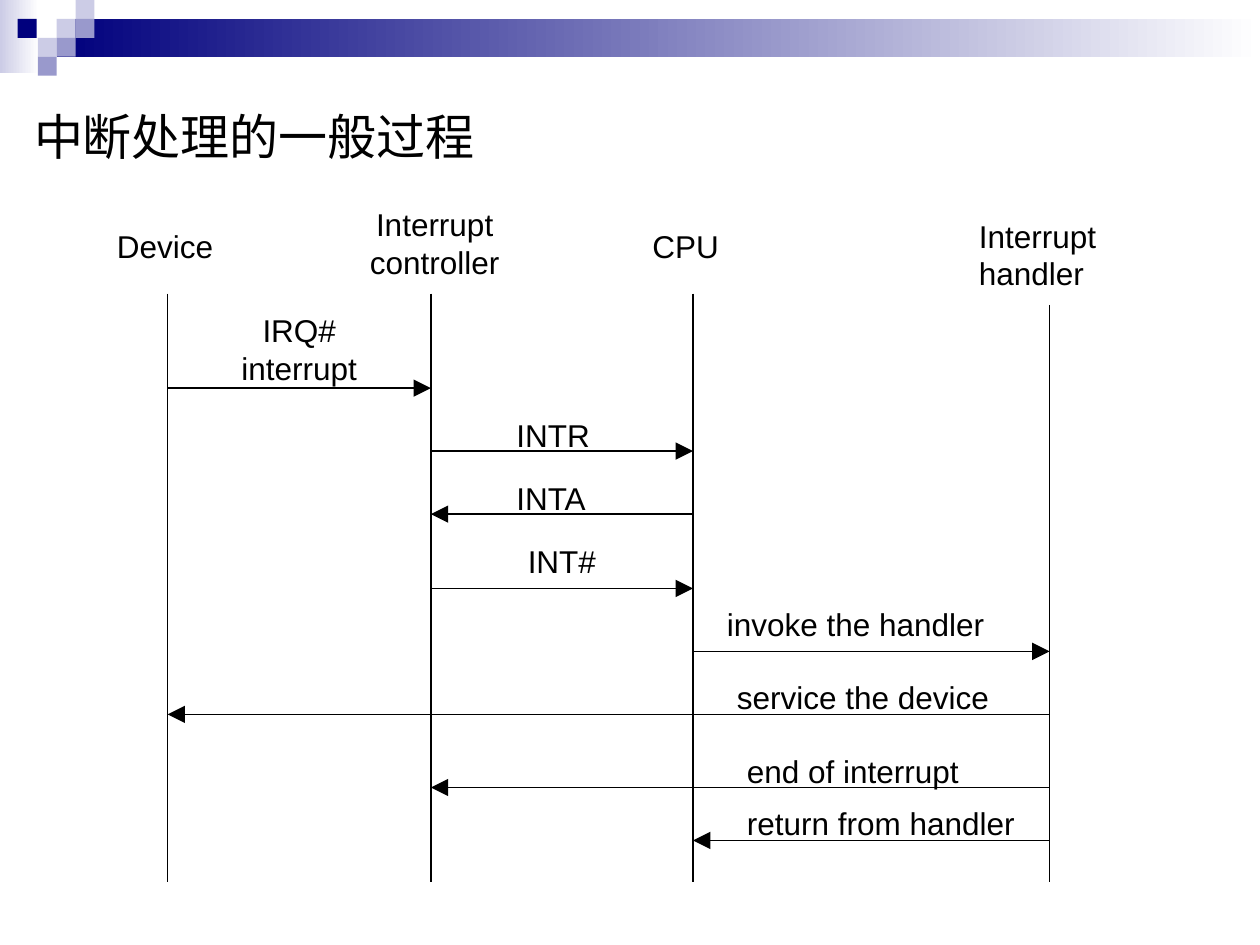
from dataclasses import dataclass

import pptx
import pptx.dml.color
import pptx.enum.shapes
import pptx.enum.text
import pptx.oxml
import pptx.oxml.ns
import pptx.util

Inches = pptx.util.Inches
Pt = pptx.util.Pt
Align = pptx.enum.text.PP_ALIGN
INK, NAVY, MID, PALE, WHITE = "000000", "00007D", "9999CC", "CCCCE6", "FFFFFF"
CELL = 0.15


@dataclass
class Label:
    text: str
    left: float
    top: float
    width: float
    height: float = 0.4
    align: Align = Align.LEFT


@dataclass
class Actor:
    x: float
    top: float
    label: Label


@dataclass
class Message:
    source: int
    target: int
    y: float
    label: Label


ACTORS = [
    Actor(1.33, 2.33, Label("Device", 0.83, 1.75, 1.08)),
    Actor(3.42, 2.33, Label("Interrupt controller", 2.75, 1.58, 1.4, 0.7,
                            Align.CENTER)),
    Actor(5.5, 2.33, Label("CPU", 5.08, 1.75, 1.42)),
    Actor(8.33, 2.42, Label("Interrupt handler", 7.67, 1.67, 1.42, 0.7)),
]
DEVICE, CONTROL, CPU, HANDLER = range(4)
FOOT = 7

MESSAGES = [
    Message(DEVICE, CONTROL, 3.08,
            Label("IRQ# interrupt", 1.5, 2.42, 1.75, 0.7, Align.CENTER)),
    Message(CONTROL, CPU, 3.58, Label("INTR", 4, 3.25, 1.08)),
    Message(CPU, CONTROL, 4.08, Label("INTA", 4, 3.75, 1.08)),
    Message(CONTROL, CPU, 4.67, Label("INT#", 4.09, 4.25, 0.85)),
    Message(CPU, HANDLER, 5.17,
            Label("invoke the handler", 5.67, 4.75, 2.4)),
    Message(HANDLER, DEVICE, 5.67,
            Label("service the device", 5.75, 5.33, 2.4)),
    Message(HANDLER, CONTROL, 6.25,
            Label("end of interrupt", 5.83, 5.92, 2)),
    Message(HANDLER, CPU, 6.67,
            Label("return from handler", 5.83, 6.33, 2.48)),
]

# Left, top and colour of each square in the corner
SQUARES = [
    (0.45, 0.15, PALE), (0.6, 0, PALE), (0.6, 0.15, MID), (0.3, 0.3, PALE),
    (0.14, 0.15, NAVY), (0.45, 0.3, MID), (0.3, 0.45, MID),
]


def rgb(code: str) -> pptx.dml.color.RGBColor:
    return pptx.dml.color.RGBColor.from_string(code)


def add_rect(slide, left: float, top: float, width: float, height: float,
             color: str, fade: bool = False) -> None:
    """Draw a bare rectangle, fading to white on the right if asked."""
    rect = slide.shapes.add_shape(
        pptx.enum.shapes.MSO_SHAPE.RECTANGLE,
        Inches(left), Inches(top), Inches(width), Inches(height))
    rect.shadow.inherit = False
    rect.line.fill.background()
    if fade:
        rect.fill.gradient()
        rect.fill.gradient_angle = 0
        for stop, code in zip(rect.fill.gradient_stops, (color, WHITE)):
            stop.color.rgb = rgb(code)
    else:
        rect.fill.solid()
        rect.fill.fore_color.rgb = rgb(color)


def add_run(para, text: str, size: float) -> None:
    run = para.add_run()
    run.text = text
    run.font.size = Pt(size)
    run.font.name = "Arial"
    run.font.color.rgb = rgb(INK)


def add_label(slide, label: Label) -> None:
    box = slide.shapes.add_textbox(
        Inches(label.left), Inches(label.top),
        Inches(label.width), Inches(label.height))
    box.text_frame.word_wrap = True
    para = box.text_frame.paragraphs[0]
    para.alignment = label.align
    add_run(para, label.text, 18)


def add_line(slide, x1: float, y1: float, x2: float, y2: float,
             arrow: bool = False) -> None:
    line = slide.shapes.add_connector(
        pptx.enum.shapes.MSO_CONNECTOR.STRAIGHT,
        Inches(x1), Inches(y1), Inches(x2), Inches(y2))
    line.line.color.rgb = rgb(INK)
    line.line.width = Pt(0.75)
    names = pptx.oxml.ns.nsdecls("a")
    if arrow:
        line.line._get_or_add_ln().append(pptx.oxml.parse_xml(
            f'<a:tailEnd {names} type="triangle" w="lg" len="lg"/>'))
    line._element.spPr.append(pptx.oxml.parse_xml(f"<a:effectLst {names}/>"))


def set_title(slide, text: str) -> None:
    title = slide.shapes.title
    title.left, title.top = Inches(0.17), Inches(0.33)
    title.width, title.height = Inches(9.58), Inches(1.5)
    title.text_frame.vertical_anchor = pptx.enum.text.MSO_ANCHOR.MIDDLE
    para = title.text_frame.paragraphs[0]
    para.alignment = Align.LEFT
    add_run(para, text, 28)


def main() -> None:
    deck = pptx.Presentation()
    deck.slide_width, deck.slide_height = Inches(10), Inches(7.5)
    slide = deck.slides.add_slide(deck.slide_layouts[5])

    add_rect(slide, 0, 0, 0.31, 0.58, PALE, fade=True)
    add_rect(slide, 0.45, 0.15, 9.55, 0.3, NAVY, fade=True)
    for left, top, color in SQUARES:
        add_rect(slide, left, top, CELL, CELL, color)

    set_title(slide, "中断处理的一般过程")
    for actor in ACTORS:
        add_line(slide, actor.x, actor.top, actor.x, FOOT)
        add_label(slide, actor.label)
    for msg in MESSAGES:
        add_line(slide, ACTORS[msg.source].x, msg.y,
                 ACTORS[msg.target].x, msg.y, arrow=True)
        add_label(slide, msg.label)

    deck.save("out.pptx")


if __name__ == "__main__":
    main()
